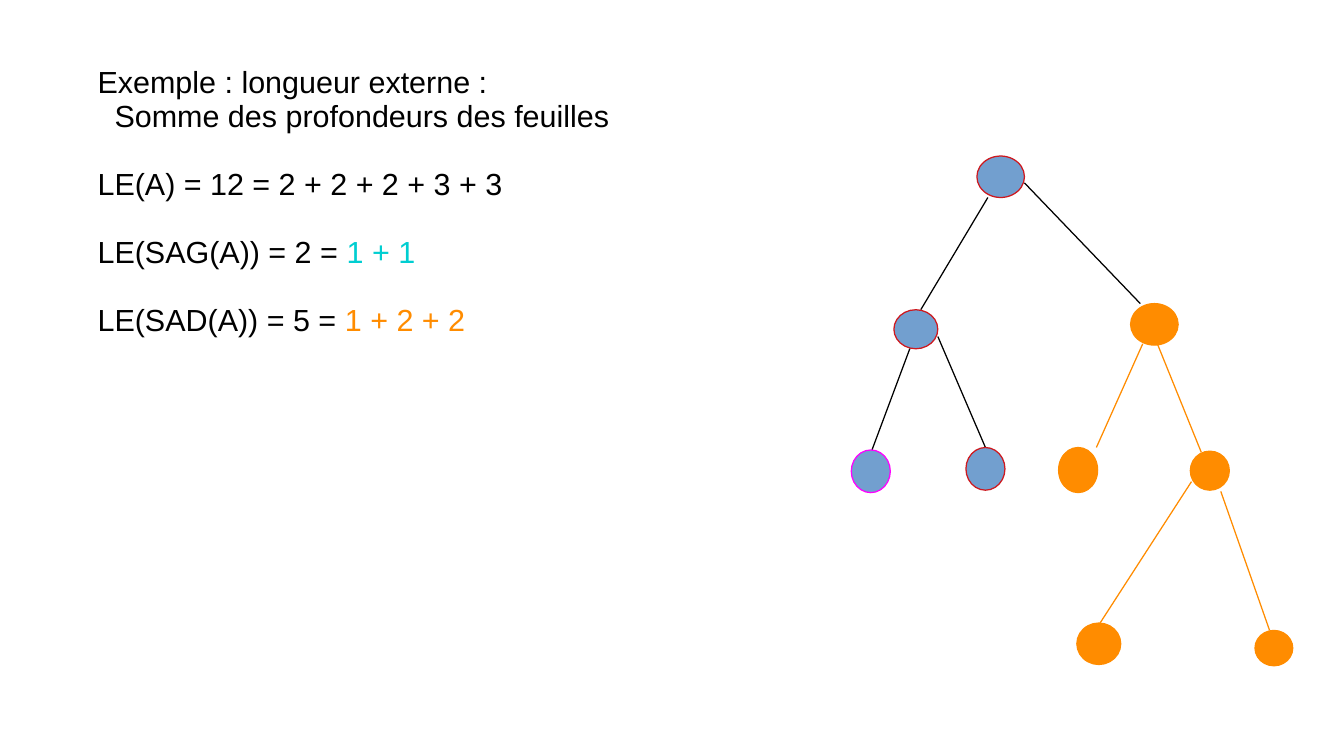
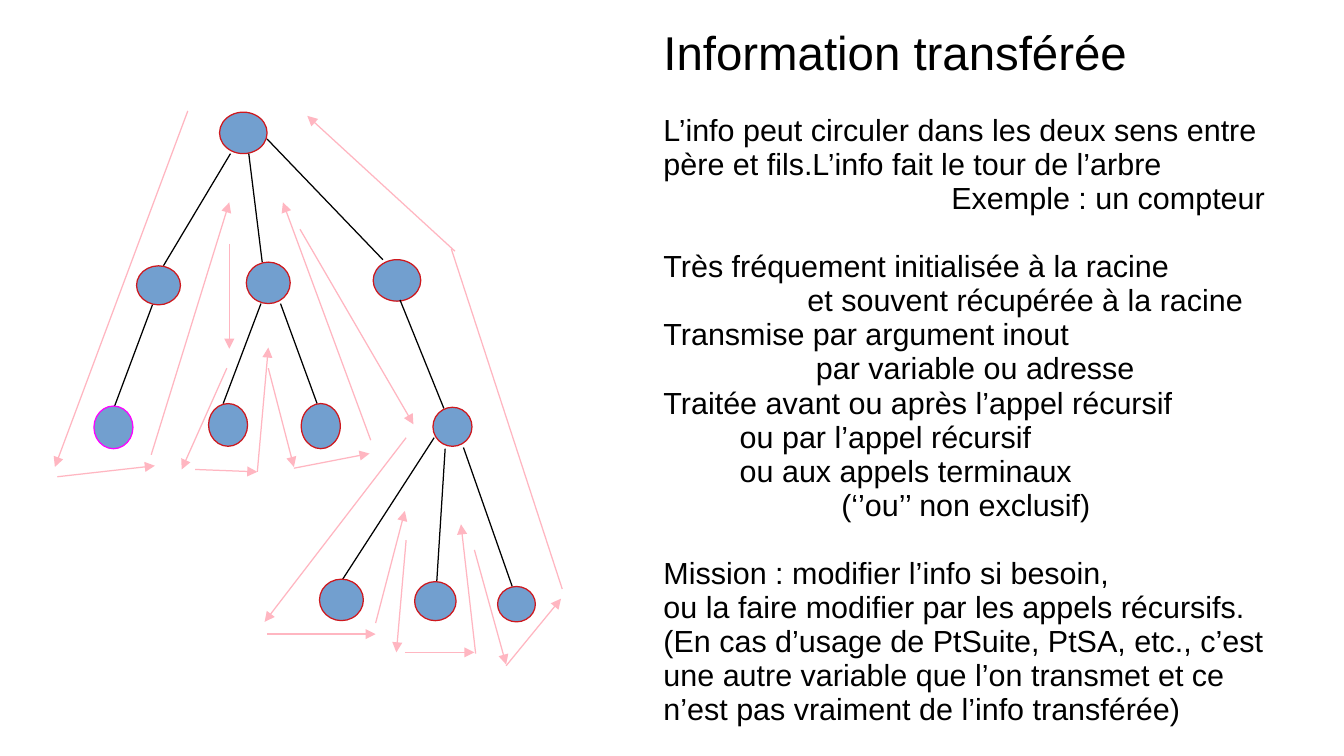
from lxml import etree
from pptx import Presentation
from pptx import util as u
from pptx.dml.color import RGBColor
from pptx.enum import shapes, text
from pptx.oxml.ns import qn

COLORS = {"ink": "000000", "node": "729FCF", "rim": "CE181E", "first": "FF00FF",
          "left": "00CED1", "right": "FF8C00", "tour": "FFB6C1"}
FONT, SIZE, SPACING = "Arial", 18, 0.93
SPACE = 5      # width of one indent step, in points
GAP = 20       # height of one skipped line, in points
THIN = 0.75

# Tree parts: left, top, width, height
NODES = {
    "root": (1.80, 0.92, 0.39, 0.34),
    "left": (1.12, 2.18, 0.36, 0.32),
    "middle": (2.02, 2.15, 0.36, 0.34),
    "right": (3.06, 2.13, 0.39, 0.34),
    "first leaf": (0.77, 3.33, 0.32, 0.35),
    "second leaf": (1.71, 3.31, 0.32, 0.35),
    "third leaf": (2.47, 3.31, 0.32, 0.37),
    "inner": (3.55, 3.34, 0.32, 0.32),
    "low left": (2.62, 4.75, 0.36, 0.34),
    "low middle": (3.40, 4.77, 0.34, 0.32),
    "low right": (4.08, 4.81, 0.31, 0.29),
}
# Parent and child, then the two ends of the line
EDGES = {
    ("root", "left"): (1.89, 1.26, 1.34, 2.18),
    ("root", "middle"): (2.04, 1.26, 2.15, 2.15),
    ("root", "right"): (2.19, 1.14, 3.14, 2.13),
    ("left", "first leaf"): (1.25, 2.50, 0.94, 3.33),
    ("left", "second leaf"): (1.48, 2.40, 1.87, 3.31),
    ("middle", "second leaf"): (2.14, 2.49, 1.83, 3.31),
    ("middle", "third leaf"): (2.30, 2.49, 2.60, 3.31),
    ("right", "third leaf"): (3.16, 2.46, 2.78, 3.31),
    ("right", "inner"): (3.28, 2.46, 3.64, 3.35),
    ("inner", "low left"): (3.56, 3.59, 2.81, 4.75),
    ("inner", "low middle"): (3.65, 3.68, 3.58, 4.79),
    ("inner", "low right"): (3.80, 3.67, 4.20, 4.81),
}
BINARY = {
    "root": ["left", "right"], "left": ["first leaf", "second leaf"],
    "right": ["third leaf", "inner"], "inner": ["low left", "low right"],
}
GENERAL = {
    "root": ["left", "middle", "right"], "left": ["first leaf"],
    "middle": ["second leaf", "third leaf"], "right": ["inner"],
    "inner": ["low left", "low middle", "low right"],
}
TOUR = [
    (1.54, 0.91, 0.45, 3.83), (0.47, 3.91, 1.27, 3.82), (1.24, 3.73, 1.88, 1.66),
    (1.88, 2.00, 1.88, 2.86), (1.86, 3.02, 1.49, 3.85), (1.60, 3.85, 2.11, 3.87),
    (2.11, 3.87, 2.20, 2.85), (2.20, 3.02, 2.41, 3.83), (2.41, 3.84, 3.03, 3.72),
    (3.04, 3.61, 2.32, 1.66), (2.46, 1.88, 3.39, 3.48), (3.33, 3.59, 2.17, 5.10),
    (2.19, 5.20, 3.08, 5.20), (3.08, 5.11, 3.32, 4.19), (3.33, 4.43, 3.25, 5.35),
    (3.32, 5.35, 3.89, 5.35), (3.90, 5.36, 3.78, 4.30), (3.89, 4.51, 4.15, 5.45),
    (4.15, 5.46, 4.60, 4.91), (3.73, 2.06, 2.52, 0.95),
]
TOUR_RISE = (4.61, 4.83, 3.70, 2.04)

# Lines of text: indent steps, skipped lines before, spans of (text, colour)
LENGTH_TITLE = "Exemple : longueur externe :"
LENGTH_LINES = [
    (2, 0, [("Somme des profondeurs des feuilles", "ink")]),
    (0, 1, [("LE(A) = 12 = 2 + 2 + 2 + 3 + 3", "ink")]),
    (0, 1, [("LE(SAG(A)) = 2 = ", "ink"), ("1 + 1", "left")]),
    (0, 1, [("LE(SAD(A)) = 5 = ", "ink"), ("1 + 2 + 2", "right")]),
]
INFO_TITLE = "Information transférée"
INFO_LINES = [(indent, skip, [(line, "ink")]) for indent, skip, line in [
    (0, 0, "L’info peut circuler dans les deux sens entre père et fils."
           "L’info fait le tour de l’arbre"),
    (34, 0, "Exemple : un compteur"),
    (0, 1, "Très fréquement initialisée à la racine"),
    (17, 0, "et souvent récupérée à la racine"),
    (0, 0, "Transmise par argument inout"),
    (18, 0, "par variable ou adresse"),
    (0, 0, "Traitée avant ou après l’appel récursif"),
    (9, 0, "ou par l’appel récursif"),
    (9, 0, "ou aux appels terminaux"),
    (21, 0, "(‘’ou’’ non exclusif)"),
    (0, 1, "Mission : modifier l’info si besoin,"),
    (0, 0, "ou la faire modifier par les appels récursifs."),
    (0, 0, "(En cas d’usage de PtSuite, PtSA, etc., c’est une autre variable que "
           "l’on transmet et ce n’est pas vraiment de l’info transférée)"),
]]


def rgb(name):
    return RGBColor.from_string(COLORS[name])


def write_lines(box, place, lines, size=SIZE):
    box.left, box.top, box.width, box.height = map(u.Inches, place)
    frame = box.text_frame
    frame.word_wrap = True
    frame.auto_size = text.MSO_AUTO_SIZE.NONE
    frame.vertical_anchor = text.MSO_ANCHOR.TOP
    frame.margin_left = frame.margin_right = u.Inches(0.1)
    frame.margin_top, frame.margin_bottom = u.Inches(0.07), u.Inches(0.05)
    for index, (indent, skip, spans) in enumerate(lines):
        para = frame.add_paragraph() if index else frame.paragraphs[0]
        props = para._p.get_or_add_pPr()
        props.set("marL", str(u.Pt(indent * SPACE)))
        props.set("indent", "0")
        etree.SubElement(props, qn("a:buNone"))
        para.alignment = text.PP_ALIGN.LEFT
        para.line_spacing = SPACING
        para.space_before, para.space_after = u.Pt(skip * GAP), u.Pt(0)
        for words, color in spans:
            span = para.add_run()
            span.text = words
            span.font.name, span.font.size = FONT, u.Pt(size)
            span.font.color.rgb = rgb(color)


def add_text_slide(deck, title, title_place, title_size, lines, body_place):
    page = deck.slides.add_slide(deck.slide_layouts[1])
    write_lines(page.shapes.title, title_place, [(0, 0, [(title, "ink")])], title_size)
    write_lines(page.placeholders[1], body_place, lines)
    return page


def add_line(page, ends, color, arrow=False):
    line = page.shapes.add_connector(shapes.MSO_CONNECTOR.STRAIGHT, *map(u.Inches, ends))
    line.line.color.rgb, line.line.width = rgb(color), u.Pt(THIN)
    if arrow:
        etree.SubElement(line.line._get_or_add_ln(), qn("a:tailEnd"), type="triangle")
    etree.SubElement(line._element.spPr, qn("a:effectLst"))


def add_node(page, place, fill, rim):
    node = page.shapes.add_shape(shapes.MSO_SHAPE.OVAL, *map(u.Inches, place))
    node.shadow.inherit = False
    node.fill.solid()
    node.fill.fore_color.rgb = rgb(fill)
    node.line.color.rgb, node.line.width = rgb(rim), u.Pt(THIN)


def draw_tree(page, children, name="root", shift=(0, 0), marked=None, inside=False):
    """Draw a node and all below it; the subtree under `marked` is orange."""
    inside = inside or name == marked
    dx, dy = shift
    left, top, width, height = NODES[name]
    fill, rim = ("right", "right") if inside else (
        "node", "first" if name == "first leaf" else "rim")
    add_node(page, (left + dx, top + dy, width, height), fill, rim)
    for child in children.get(name, []):
        x1, y1, x2, y2 = EDGES[name, child]
        add_line(page, (x1 + dx, y1 + dy, x2 + dx, y2 + dy), "right" if inside else "ink")
        draw_tree(page, children, child, shift, marked, inside)


def main():
    deck = Presentation()
    deck.slide_width, deck.slide_height = u.Inches(11.02), u.Inches(6.2)

    length_page = add_text_slide(deck, LENGTH_TITLE, (0.7, 0.47, 4.66, 0.4), SIZE,
                                 LENGTH_LINES, (0.7, 0.75, 4.66, 2.62))
    draw_tree(length_page, BINARY, shift=(6.21, 0.36), marked="right")

    info_page = add_text_slide(deck, INFO_TITLE, (5.34, 0.16, 5.36, 0.6), 28,
                               INFO_LINES, (5.34, 0.87, 5.36, 5.33))
    draw_tree(info_page, GENERAL)
    for ends in TOUR:
        add_line(info_page, ends, "tour", arrow=True)
    add_line(info_page, TOUR_RISE, "tour")

    deck.save("out.pptx")


if __name__ == "__main__":
    main()
